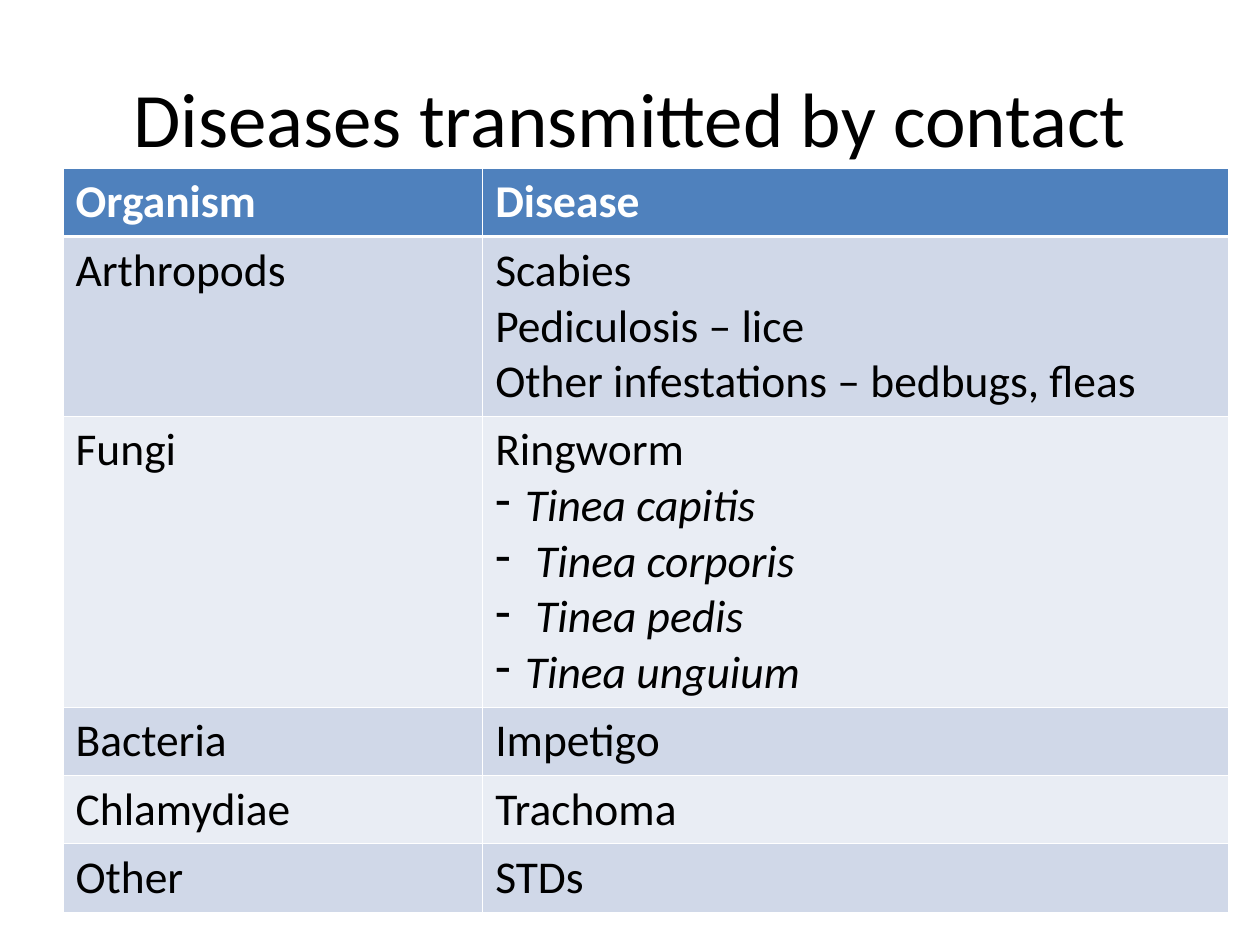
from lxml import etree
from pptx import Presentation
from pptx import util as u
from pptx.dml.color import RGBColor
from pptx.enum import text
from pptx.oxml.ns import qn

# Content: a line that starts with "-" is a dash item in italics
TITLE = "Diseases transmitted by contact"
ROWS = [
    ("Organism", ["Disease"]),
    ("Arthropods", ["Scabies", "Pediculosis – lice",
                    "Other infestations – bedbugs, fleas"]),
    ("Fungi", ["Ringworm", "-Tinea capitis", "- Tinea corporis",
               "- Tinea pedis", "-Tinea unguium"]),
    ("Bacteria", ["Impetigo"]),
    ("Chlamydiae", ["Trachoma"]),
    ("Other", ["STDs"]),
]

# Format
COLORS = {"text": "000000", "head_text": "FFFFFF", "head": "4F81BD",
          "odd": "D0D8E8", "even": "E9EDF4", "border": "FFFFFF"}
TITLE_FONT = {"name": "Calibri", "size": u.Pt(44)}
BODY_FONT = {"name": "Calibri", "size": u.Pt(26)}
LEFT, TOP = 1.27, 3.39
COL_WIDTHS = (8.46, 15.04)
LINE_HEIGHT, CELL_PAD = 1.12, 0.26
DASH_INDENT = u.Cm(0.6)
THIN, THICK = u.Pt(0.45), u.Pt(1.47)


def rgb(key):
    return RGBColor.from_string(COLORS[key])


def set_font(font, values, color):
    for name, value in values.items():
        setattr(font, name, value)
    font.color.rgb = rgb(color)


def add_dash(p):
    pPr = p._p.get_or_add_pPr()
    pPr.set("marL", str(DASH_INDENT))
    pPr.set("indent", str(-DASH_INDENT))
    etree.SubElement(pPr, qn("a:buChar"), char="-")


def add_borders(cell, widths):
    tcPr = cell._tc.get_or_add_tcPr()
    for i, (side, width) in enumerate(widths.items()):
        ln = etree.Element(qn(f"a:ln{side}"), w=str(width))
        fill = etree.SubElement(ln, qn("a:solidFill"))
        etree.SubElement(fill, qn("a:srgbClr"), val=COLORS["border"])
        tcPr.insert(i, ln)


def fill_cell(cell, lines, row):
    cell.fill.solid()
    cell.fill.fore_color.rgb = rgb("head" if row == 0 else "odd" if row % 2 else "even")
    add_borders(cell, {"L": THIN, "R": THIN,
                       "T": THICK if row == 1 else THIN,
                       "B": THICK if row == 0 else THIN})
    tf = cell.text_frame
    for i, line in enumerate(lines):
        p = tf.paragraphs[0] if i == 0 else tf.add_paragraph()
        dash = line.startswith("-")
        if dash:
            add_dash(p)
        r = p.add_run()
        r.text = line.removeprefix("-")
        set_font(r.font, {**BODY_FONT, "bold": row == 0, "italic": dash},
                 "head_text" if row == 0 else "text")


def main():
    prs = Presentation()
    prs.slide_width, prs.slide_height = u.Cm(25.4), u.Cm(19.05)
    s = prs.slides.add_slide(prs.slide_layouts[6])

    # Title
    sp = s.shapes.add_textbox(u.Cm(LEFT), u.Cm(0.76), u.Cm(22.86), u.Cm(3.18))
    tf = sp.text_frame
    tf.word_wrap = True
    tf.vertical_anchor = text.MSO_ANCHOR.MIDDLE
    p = tf.paragraphs[0]
    p.alignment = text.PP_ALIGN.CENTER
    r = p.add_run()
    r.text = TITLE
    set_font(r.font, TITLE_FONT, "text")

    # Table: each row is as high as its number of lines
    heights = [CELL_PAD + LINE_HEIGHT * len(diseases) for _, diseases in ROWS]
    table = s.shapes.add_table(len(ROWS), len(COL_WIDTHS), u.Cm(LEFT), u.Cm(TOP),
                               u.Cm(sum(COL_WIDTHS)), u.Cm(sum(heights))).table
    for column, width in zip(table.columns, COL_WIDTHS):
        column.width = u.Cm(width)
    for i, (organism, diseases) in enumerate(ROWS):
        table.rows[i].height = u.Cm(heights[i])
        fill_cell(table.cell(i, 0), [organism], i)
        fill_cell(table.cell(i, 1), diseases, i)

    prs.save("out.pptx")


if __name__ == "__main__":
    main()
